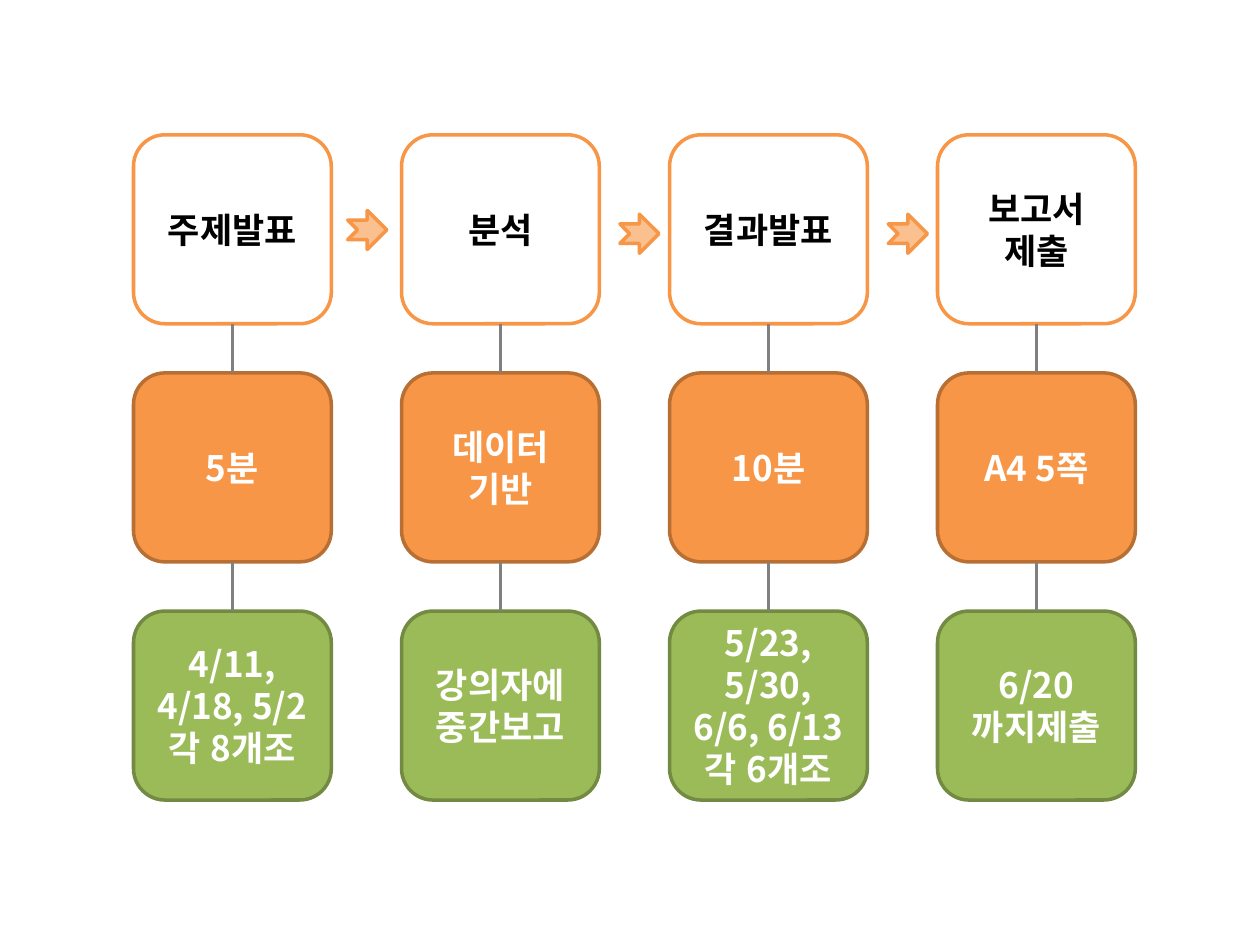
"""Build a slide with four course stages, each with its length and its schedule."""
from lxml import etree
from pptx import Presentation
from pptx.dml.color import RGBColor
from pptx.enum.lang import MSO_LANGUAGE_ID
from pptx.enum.shapes import MSO_CONNECTOR, MSO_SHAPE
from pptx.enum.text import MSO_ANCHOR, PP_ALIGN
from pptx.oxml.ns import qn
from pptx.util import Inches, Pt

ROUNDED = MSO_SHAPE.ROUNDED_RECTANGLE
ARROW = MSO_SHAPE.NOTCHED_RIGHT_ARROW
STRAIGHT = MSO_CONNECTOR.STRAIGHT
CENTER = PP_ALIGN.CENTER
MIDDLE = MSO_ANCHOR.MIDDLE
KOREAN = MSO_LANGUAGE_ID.KOREAN

FONT = "Noto Sans CJK KR"
COLORS = {
    "white": "FFFFFF", "black": "000000", "gray": "808080",
    "orange": "F79646", "dark orange": "B76F34", "pale orange": "FAC090",
    "green": "9BBB59", "dark green": "738A42",
}
ROWS = [
    {"fill": "white", "line": "orange", "font": "black",
     "texts": ["주제발표", "분석", "결과발표", "보고서\n제출"]},
    {"fill": "orange", "line": "dark orange", "font": "white",
     "texts": ["5분", "데이터\n기반", "10분", "A4 5쪽"]},
    {"fill": "green", "line": "dark green", "font": "white",
     "texts": ["4/11, 4/18, 5/2 각 8개조", "강의자에중간보고",
               "5/23, 5/30, 6/6, 6/13\n각 6개조", "6/20까지제출"]},
]
ARROWS = [(2.76, 1.67), (4.92, 1.7), (7.05, 1.7)]
ARROW_SIZE = 0.31
LEFT, TOP = 1.06, 1.07
WIDTH, HEIGHT = 1.57, 1.5
COLUMN_STEP, ROW_STEP = 2.127, 1.89
BOTTOM_SITE, TOP_SITE = 2, 0


def color(name):
    return RGBColor.from_string(COLORS[name])


def add_shape(page, kind, left, top, width, height, fill, line):
    shape = page.shapes.add_shape(
        kind, Inches(left), Inches(top), Inches(width), Inches(height))
    shape.shadow.inherit = False
    shape.fill.solid()
    shape.fill.fore_color.rgb = color(fill)
    shape.line.color.rgb = color(line)
    shape.line.width = Pt(2)
    return shape


def write(box, text, font_color):
    frame = box.text_frame
    frame.text = text
    frame.word_wrap = True
    frame.vertical_anchor = MIDDLE
    for para in frame.paragraphs:
        para.alignment = CENTER
        for span in para.runs:
            span.font.name = FONT
            span.font.size = Pt(20)
            span.font.bold = True
            span.font.language_id = KOREAN
            span.font.color.rgb = color(font_color)
            east_asian = etree.SubElement(span.font._element, qn("a:ea"))
            east_asian.set("typeface", FONT)


def connect(page, upper, lower):
    link = page.shapes.add_connector(STRAIGHT, 0, 0, 0, 0)
    link.begin_connect(upper, BOTTOM_SITE)
    link.end_connect(lower, TOP_SITE)
    link.line.color.rgb = color("gray")
    link.line.width = Pt(2)
    etree.SubElement(link._element.spPr, qn("a:effectLst"))


deck = Presentation()
deck.slide_width, deck.slide_height = Inches(10), Inches(7.5)
page = deck.slides.add_slide(deck.slide_layouts[6])

grid = []
for row_index, row in enumerate(ROWS):
    boxes = []
    for column, text in enumerate(row["texts"]):
        box = add_shape(page, ROUNDED, LEFT + column * COLUMN_STEP,
                        TOP + row_index * ROW_STEP, WIDTH, HEIGHT,
                        row["fill"], row["line"])
        write(box, text, row["font"])
        boxes.append(box)
    grid.append(boxes)

for left, top in ARROWS:
    add_shape(page, ARROW, left, top, ARROW_SIZE, ARROW_SIZE,
              "pale orange", "orange")

for upper_row, lower_row in zip(grid, grid[1:]):
    for upper, lower in zip(upper_row, lower_row):
        connect(page, upper, lower)

deck.save("out.pptx")
